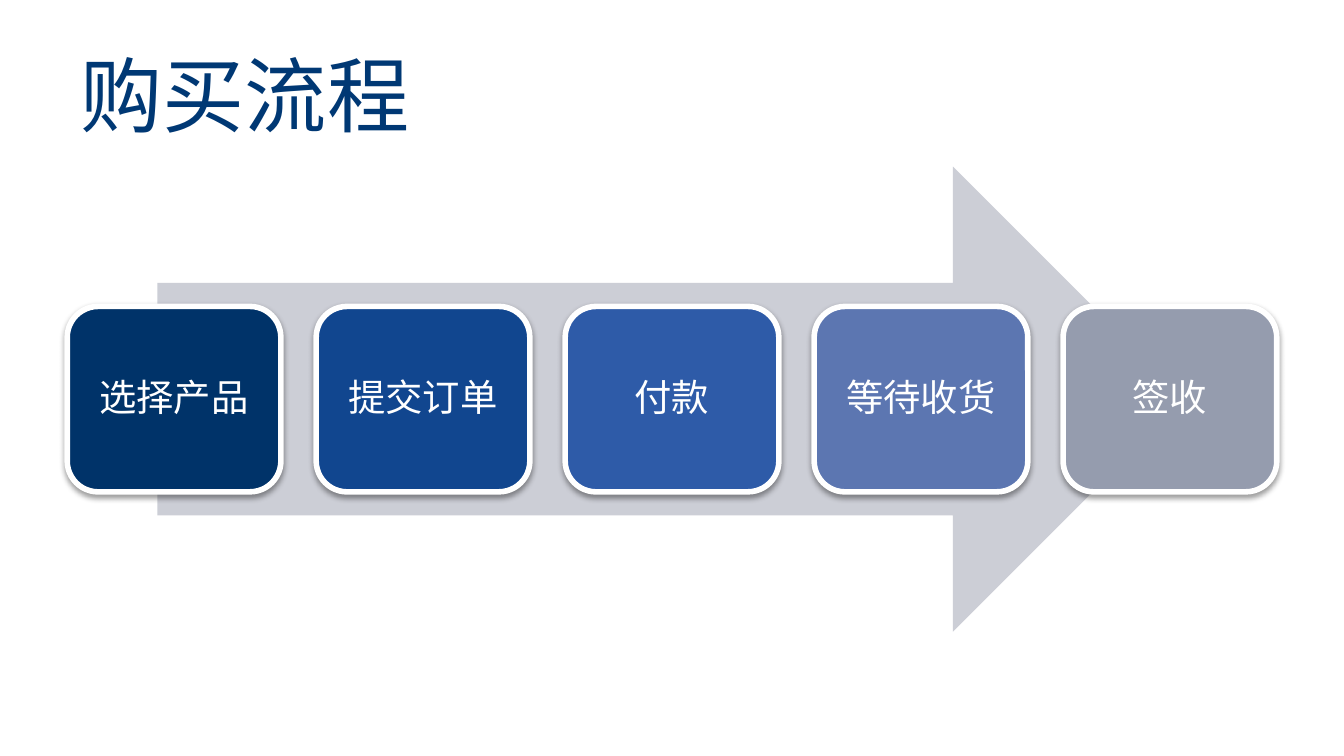
from lxml.etree import SubElement
from pptx import Presentation
from pptx.dml.color import RGBColor
from pptx.enum.shapes import MSO_SHAPE
from pptx.enum.text import MSO_ANCHOR, MSO_AUTO_SIZE, PP_ALIGN
from pptx.oxml.ns import qn
from pptx.util import Inches, Pt

STEPS = [
    ("选择产品", "003369"),
    ("提交订单", "11468F"),
    ("付款", "2E5BA8"),
    ("等待收货", "5C76B1"),
    ("签收", "959CAE"),
]


def color(hex_code):
    """Return the colour for a hex string."""
    return RGBColor.from_string(hex_code)


def write(frame, text, size, font, ink, align=PP_ALIGN.LEFT, spacing=None, inset=None):
    """Put one formatted paragraph, centred vertically, into a text frame."""
    frame.word_wrap = True
    frame.auto_size = MSO_AUTO_SIZE.NONE
    frame.vertical_anchor = MSO_ANCHOR.MIDDLE
    if inset is not None:
        frame.margin_left = frame.margin_right = Inches(inset)
        frame.margin_top = frame.margin_bottom = Inches(inset)
    paragraph = frame.paragraphs[0]
    paragraph.alignment = align
    if spacing is not None:
        paragraph.line_spacing = spacing
    run = paragraph.add_run()
    run.text = text
    run.font.size = Pt(size)
    run.font.name = font
    run.font.color.rgb = color(ink)
    SubElement(run.font._element, qn("a:ea"), typeface="Noto Sans CJK SC")


def cast_shadow(shape, ink="000000", alpha=38, blur=3.1, distance=1.6, angle=90):
    """Give a shape a soft outer shadow."""
    effects = shape._element.spPr.find(qn("a:effectLst"))
    shadow = SubElement(
        effects, qn("a:outerShdw"), blurRad=str(Pt(blur)), dist=str(Pt(distance)),
        dir=str(angle * 60000), rotWithShape="0",
    )
    tint = SubElement(shadow, qn("a:srgbClr"), val=ink)
    SubElement(tint, qn("a:alpha"), val=str(alpha * 1000))


class ProcessSlide:
    """Hold the slide and the style of its process diagram."""

    title_font = "Noto Sans CJK SC"
    step_font = "Arial"
    title_ink = "003874"
    arrow_fill = "CCCED6"
    white = "FFFFFF"

    def __init__(self, deck):
        """Add a title-only slide to the deck."""
        self.slide = deck.slides.add_slide(deck.slide_layouts[5])
        self.slide.background.fill.solid()
        self.slide.background.fill.fore_color.rgb = color(self.white)

    def title(self, text, left, top, width, height):
        """Place and format the title."""
        heading = self.slide.shapes.title
        heading.left, heading.top = Inches(left), Inches(top)
        heading.width, heading.height = Inches(width), Inches(height)
        write(heading.text_frame, text, size=44, font=self.title_font, ink=self.title_ink)

    def block(self, preset, fill, left, top, width, height):
        """Add a filled preset shape without line or shadow."""
        shape = self.slide.shapes.add_shape(
            preset, Inches(left), Inches(top), Inches(width), Inches(height))
        shape.shadow.inherit = False
        shape.fill.solid()
        shape.fill.fore_color.rgb = color(fill)
        shape.line.fill.background()
        return shape

    def arrow(self, left, top, width, height):
        """Add the arrow behind the steps."""
        self.block(MSO_SHAPE.RIGHT_ARROW, self.arrow_fill, left, top, width, height)

    def step(self, text, fill, left, top, width, height):
        """Add one labelled step card."""
        card = self.block(MSO_SHAPE.ROUNDED_RECTANGLE, fill, left, top, width, height)
        card.line.color.rgb = color(self.white)
        card.line.width = Pt(3)
        cast_shadow(card)
        write(card.text_frame, text, size=20, font=self.step_font, ink=self.white,
              align=PP_ALIGN.CENTER, spacing=0.9, inset=0.08)


def main():
    """Build the purchase process slide."""
    deck = Presentation()
    deck.slide_width = Inches(10)
    deck.slide_height = Inches(10 * 9 / 16)
    process = ProcessSlide(deck)
    process.title("购买流程", 0.5, 0.23, 9, 0.94)
    process.arrow(1.17, 1.24, 7.65, 3.46)
    left, right, card_width = 0.5, 9.5, 1.59
    pitch = (right - left - card_width) / (len(STEPS) - 1)
    for index, (label, fill) in enumerate(STEPS):
        process.step(label, fill, left + index * pitch, 2.28, card_width, 1.38)
    deck.save("out.pptx")


if __name__ == "__main__":
    main()
